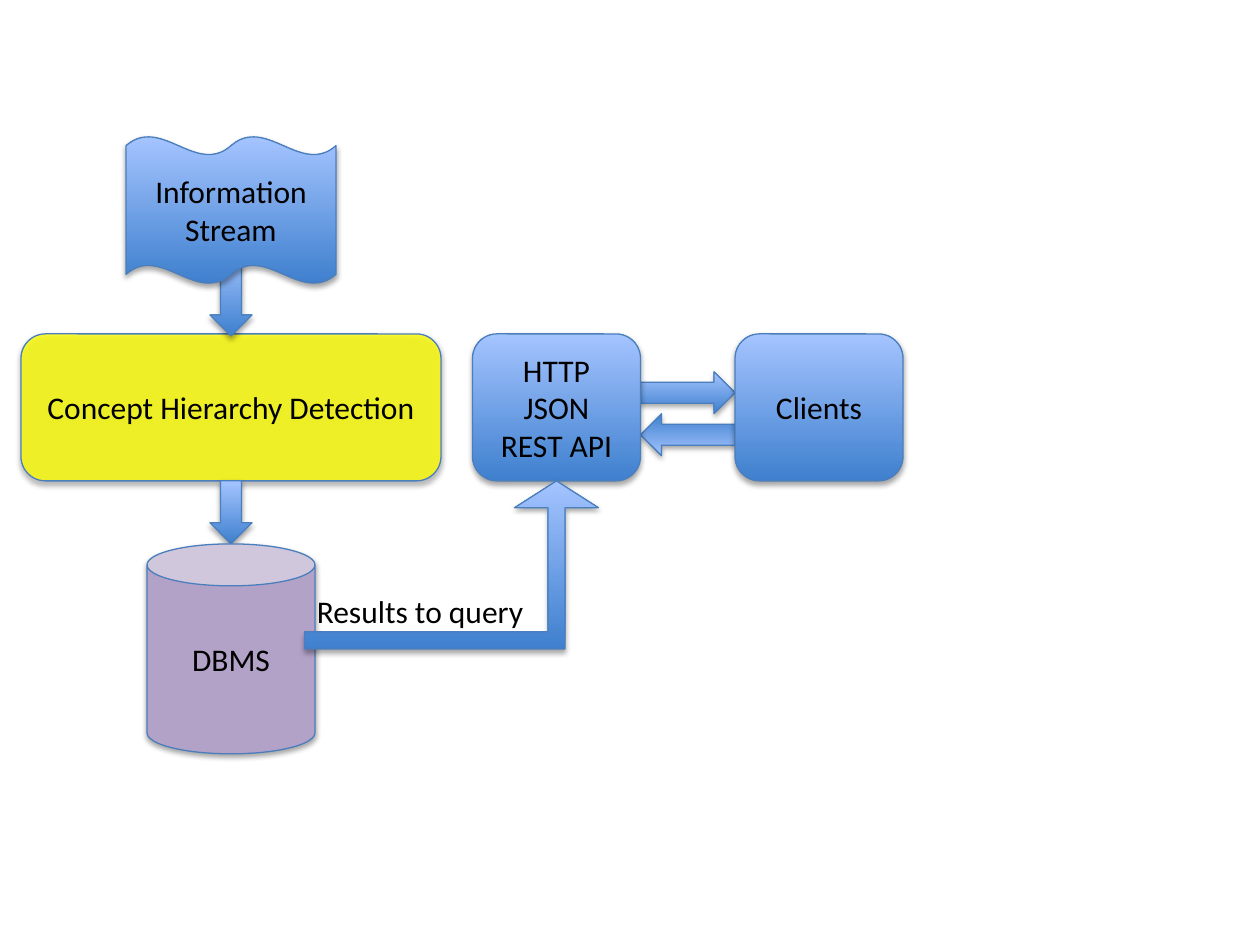
from lxml.etree import SubElement
from pptx import Presentation
from pptx.dml.color import RGBColor
from pptx.enum.shapes import MSO_SHAPE
from pptx.enum.text import MSO_ANCHOR, MSO_AUTO_SIZE, PP_ALIGN
from pptx.oxml.ns import qn
from pptx.util import Inches, Pt

COLORS = {"deep": "3F80CE", "light": "A4C4FF", "outline": "4B7EBC",
          "yellow": "FFFF00", "purple": "B3A2C7", "black": "000000"}
CELLS_PER_INCH = 12


def color(name):
    """Return the named palette colour."""
    return RGBColor.from_string(COLORS[name])


def grid(*cells):
    """Convert grid columns and rows to lengths."""
    return [Inches(cell / CELLS_PER_INCH) for cell in cells]


def write_text(shape, text, align=PP_ALIGN.CENTER, anchor=MSO_ANCHOR.MIDDLE,
               wrap=True, size=18, font="Calibri", ink="black"):
    """Write formatted text into a shape."""
    frame = shape.text_frame
    frame.word_wrap = wrap
    frame.vertical_anchor = anchor
    paragraph = frame.paragraphs[0]
    paragraph.alignment = align
    run = paragraph.add_run()
    run.text = text
    run.font.size = Pt(size)
    run.font.name = font
    run.font.color.rgb = color(ink)


def add_shadow(shape):
    """Give a shape a soft shadow straight below it."""
    shape.shadow.inherit = False
    effects = shape._element.spPr.find(qn("a:effectLst"))
    shadow = SubElement(effects, qn("a:outerShdw"), blurRad=str(Pt(3.1)),
                        dist=str(Pt(1.8)), dir="5400000", rotWithShape="0")
    tone = SubElement(shadow, qn("a:srgbClr"), val=COLORS["black"])
    SubElement(tone, qn("a:alpha"), val="35000")


def add_block(slide, kind, left, top, width, height, text=None, fill=None,
              opacity=None, rotation=0, adjustments=()):
    """Add an outlined, shadowed shape, with a blue gradient by default."""
    shape = slide.shapes.add_shape(kind, *grid(left, top, width, height))
    shape.rotation = rotation
    for index, value in enumerate(adjustments):
        shape.adjustments[index] = value
    if fill:
        shape.fill.solid()
        shape.fill.fore_color.rgb = color(fill)
    else:
        shape.fill.gradient()
        shape.fill.gradient_angle = 90
        for stop, name in zip(shape.fill.gradient_stops, ("deep", "light")):
            stop.color.rgb = color(name)
    if opacity:
        tone = shape._element.spPr.find(qn("a:solidFill"))[0]
        SubElement(tone, qn("a:alpha"), val=str(opacity * 1000))
    shape.line.color.rgb = color("outline")
    shape.line.width = Pt(0.75)
    add_shadow(shape)
    if text:
        write_text(shape, text)


def add_pipeline(slide, left, top, width):
    """Stack the stream, the detection step and the database on one axis."""
    def centered(kind, row, columns, rows, **options):
        """Add a block centred in the pipeline's width."""
        add_block(slide, kind, left + (width - columns) / 2, top + row,
                  columns, rows, **options)

    centered(MSO_SHAPE.ROUNDED_RECTANGLE, 18.8, width, 14,
             text="Concept Hierarchy Detection", fill="yellow", opacity=78)
    for row, rows in ((11, 8), (32.8, 6)):
        centered(MSO_SHAPE.DOWN_ARROW, row, 4, rows)
    centered(MSO_SHAPE.CAN, 38.8, 16, 20, text="DBMS", fill="purple")
    centered(MSO_SHAPE.DOUBLE_WAVE, 0, 20, 14, text="Information Stream")


def add_exchange(slide, left, top, width, height):
    """Place the API and its clients side by side with arrows both ways."""
    box_width = 16
    gap = width - 2 * box_width
    for row, rotation in ((3.6, 0), (7.6, 180)):
        add_block(slide, MSO_SHAPE.RIGHT_ARROW, left + box_width, top + row,
                  gap, 4, rotation=rotation)
    for index, text in enumerate(("HTTP JSON REST API", "Clients")):
        add_block(slide, MSO_SHAPE.ROUNDED_RECTANGLE,
                  left + index * (box_width + gap), top, box_width, height, text=text)


def add_query_link(slide, left, top, width, height):
    """Bend an arrow up from the database to the API, with its label."""
    label = slide.shapes.add_textbox(*grid(left, top + 10, 22.3, 4.8))
    write_text(label, "Results to query", align=PP_ALIGN.LEFT,
               anchor=MSO_ANCHOR.TOP, wrap=False)
    label.text_frame.auto_size = MSO_AUTO_SIZE.SHAPE_TO_FIT_TEXT
    add_block(slide, MSO_SHAPE.BENT_UP_ARROW, left, top, width, height,
              adjustments=(0.102, 0.25, 0.16))


def main():
    """Build and save the architecture slide."""
    presentation = Presentation()
    presentation.slide_width, presentation.slide_height = grid(120, 90)
    slide = presentation.slides.add_slide(presentation.slide_layouts[6])
    add_pipeline(slide, 2, 13, 40)
    add_exchange(slide, 45, 31.8, 41, 14)
    add_query_link(slide, 29, 45.8, 28, 16)
    presentation.save("out.pptx")


main()
